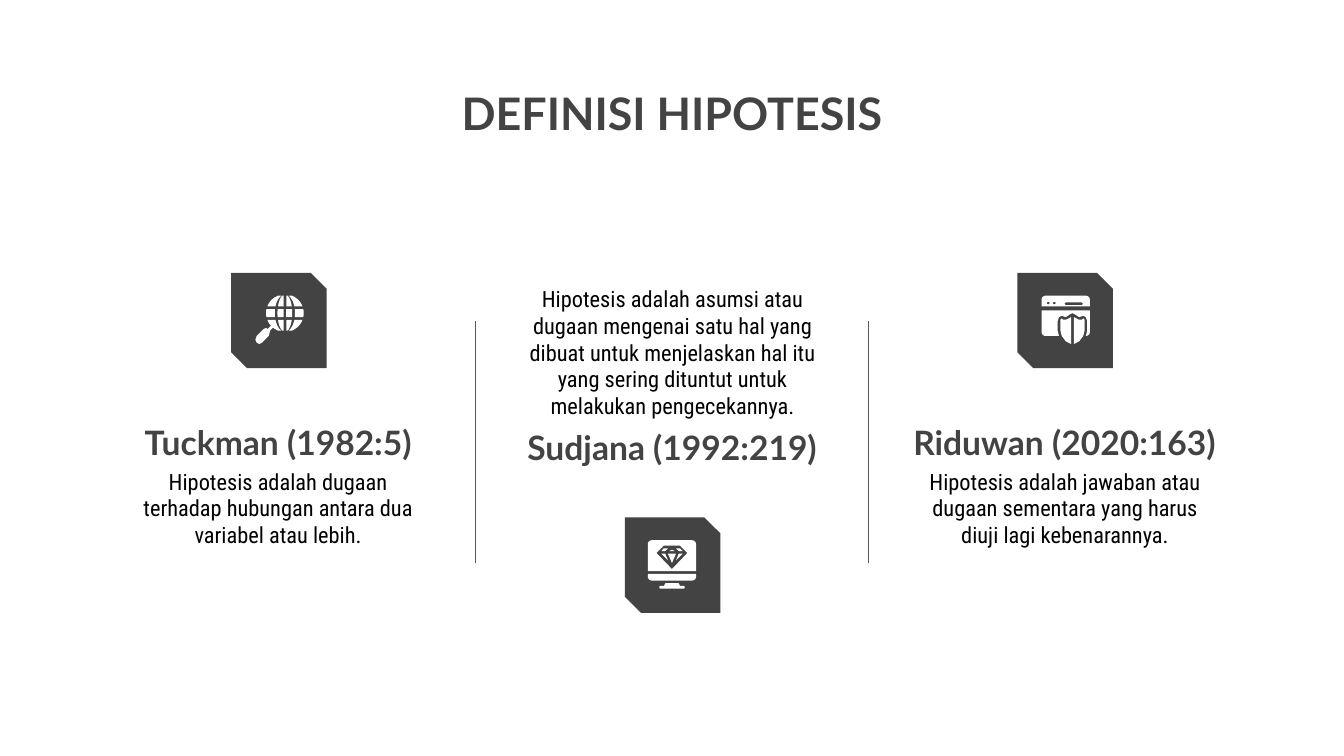
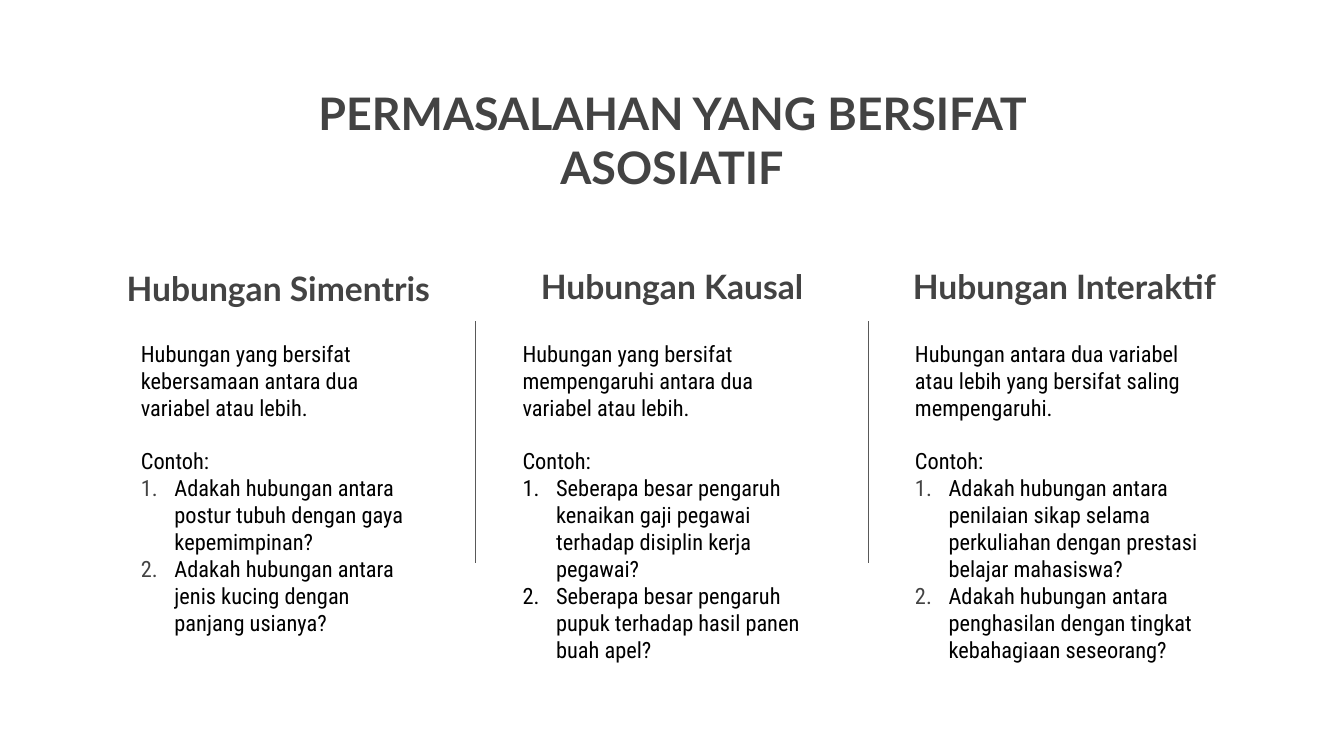
from dataclasses import dataclass
from math import cos, pi, sin, sqrt

from lxml import etree
from pptx import Presentation
from pptx.dml.color import RGBColor
from pptx.enum.shapes import MSO_CONNECTOR, MSO_SHAPE
from pptx.enum.text import MSO_ANCHOR, MSO_AUTO_SIZE, PP_ALIGN
from pptx.oxml.ns import qn
from pptx.shapes.group import GroupShape
from pptx.slide import Slide
from pptx.text.text import _Paragraph
from pptx.util import Emu, Pt

# Shared look: 100 px to the inch, 16:9 pages
PX = 9144
PAGE_WIDTH = 1000 * PX
PAGE_HEIGHT = PAGE_WIDTH * 9 // 16
DARK = RGBColor(0x43, 0x43, 0x43)
RULE = RGBColor(0x59, 0x59, 0x59)
BLACK = RGBColor(0, 0, 0)
WHITE = RGBColor(255, 255, 255)
HEAD_FONT, BODY_FONT = "Lato", "Roboto Condensed"
LEFT, CENTER = PP_ALIGN.LEFT, PP_ALIGN.CENTER
TOP, BOTTOM = MSO_ANCHOR.TOP, MSO_ANCHOR.BOTTOM
NO_FIT = MSO_AUTO_SIZE.NONE
STRAIGHT = MSO_CONNECTOR.STRAIGHT
SNIPPED = MSO_SHAPE.SNIP_2_DIAG_RECTANGLE

HEADING_LEFTS = (61, 354, 646)
HEADING_WIDTH, HEADING_HEIGHT = 292, 47
BODY_LEFTS, BODY_WIDTHS, BODY_HEIGHT = (95, 379, 671), (224, 243, 243), 110
RULE_XS, RULE_TOP, RULE_BOTTOM = (354, 646), 239, 419
BADGE_SIZE = 71
BODY_LINE = Pt(14.4)

Point = tuple[float, float]
Contour = list[Point]
Outline = list[Contour]


@dataclass(frozen=True)
class Definition:
    author: str
    text: str
    heading_top: int
    body_top: int
    badge_left: int
    badge_top: int
    icon: list[Outline]


@dataclass(frozen=True)
class Relation:
    heading: str
    heading_top: int
    text: str
    examples: tuple[str, ...]
    number_color: RGBColor


# Icon geometry, measured inside a badge
def arc(x: float, y: float, radius: float, start: float, sweep: float = 90) -> Contour:
    steps = max(4, round(sweep / 30))
    angles = [(start + sweep * step / steps) * pi / 180 for step in range(steps + 1)]
    return [(x + radius * cos(angle), y + radius * sin(angle)) for angle in angles]


def mirrored(contour: Contour, axis: float) -> Contour:
    return [(2 * axis - x, y) for x, y in contour]


def both_sides(contour: Contour, axis: float) -> list[Outline]:
    return [[contour], [mirrored(contour, axis)]]


def round_topped(left: float, top: float, right: float, bottom: float) -> Contour:
    return [(left, bottom), *arc(left + 3, top + 3, 3, 180),
            *arc(right - 3, top + 3, 3, 270), (right, bottom)]


def round_bottomed(left: float, top: float, right: float, bottom: float) -> Contour:
    return [(x, top + bottom - y) for x, y in round_topped(left, top, right, bottom)]


def globe_icon() -> list[Outline]:
    center_x, center_y, radius = 40, 30, 14

    def meridian(width: float, top: float, bottom: float) -> Contour:
        heights = [top + (bottom - top) * step / 6 for step in range(7)]
        return [(center_x - max(1, width * sqrt(1 - (y / radius) ** 2)), center_y + y)
                for y in heights]

    outlines: list[Outline] = []
    for top, bottom in ((-13, -5), (-3, 3), (5, 13)):
        for outer, inner in ((radius, 7.5), (5.5, 0)):
            piece = meridian(outer, top, bottom) + meridian(inner, top, bottom)[::-1]
            outlines += both_sides(piece, center_x)
    handle = [(28, 37), (30, 39), (27, 42), (26, 41), (24, 42), (19, 47), (18, 50),
              (19, 52), (21, 53), (23, 52), (28, 47), (29, 43), (31, 41), (33, 40)]
    return outlines + [[handle]]


def monitor_icon() -> list[Outline]:
    axis = 35
    gem = [(29, 21), (41, 21), (46.5, 26.5), (35, 38.5), (23.5, 26.5)]
    stand = [(30, 49), (29, 51), (26, 51), (25.5, 52), (26, 53),
             (44, 53), (44.5, 52), (44, 51), (41, 51), (40, 49)]
    return [
        [round_topped(17, 17, 53, 40), gem],
        [round_bottomed(17, 42, 53, 47)],
        [stand],
        [[(35, 24), (33, 25), (37, 25)]],
        [[(32, 27), (35, 34), (38, 27)]],
        *both_sides([(29, 23), (27, 25), (30, 25), (32, 23)], axis),
        *both_sides([(27, 27), (32, 32), (30, 27)], axis),
    ]


def shield_icon() -> list[Outline]:
    axis = 41
    dots = [arc(x, 22.5, 1, 0, 360) for x in (23, 27.5)]
    address_bar = [(36, 22), (48, 22), (49, 23), (48, 24), (36, 24), (35, 23)]
    notch = [(31, 47), (30, 43), (30, 36), (31, 33), (33, 32), (36, 33), (39, 31), (41, 30)]
    window = [(18, 28), (18, 44), *arc(21, 44, 3, 180, -90), *notch,
              *mirrored(notch, axis)[::-1], *arc(51, 44, 3, 90, -90), (54, 28)]
    half_shield = [(40, 33), (36, 35), (34, 35), (33, 34), (32, 35),
                   (32, 43), (33, 47), (36, 51), (40, 53)]
    return [[round_topped(18, 17, 54, 25), *dots, address_bar], [window],
            *both_sides(half_shield, axis)]


# Drawing functions
def paint(shape, color: RGBColor) -> None:
    shape.shadow.inherit = False
    shape.fill.solid()
    shape.fill.fore_color.rgb = color
    shape.line.fill.background()


def add_outline(group: GroupShape, left: int, top: int, outline: Outline) -> None:
    contours = [[(round((left + x) * PX), round((top + y) * PX)) for x, y in contour]
                for contour in outline]
    first, *holes = contours
    builder = group.shapes.build_freeform(*first[0])
    builder.add_line_segments(first[1:], close=True)
    for hole in holes:
        builder.move_to(*hole[0])
        builder.add_line_segments(hole[1:], close=True)
    paint(builder.convert_to_shape(), WHITE)


def add_badge(page: Slide, left: int, top: int, icon: list[Outline]) -> None:
    group = page.shapes.add_group_shape()
    badge = group.shapes.add_shape(SNIPPED, left * PX, top * PX,
                                   BADGE_SIZE * PX, BADGE_SIZE * PX)
    badge.adjustments[0], badge.adjustments[1] = 0, 0.167
    paint(badge, DARK)
    for outline in icon:
        add_outline(group, left, top, outline)


def add_text(page: Slide, paragraphs: list[str], left: int, top: int, width: int,
             height: int, *, size: int = 12, font: str = BODY_FONT,
             color: RGBColor = BLACK, bold: bool = False, align: PP_ALIGN = LEFT,
             anchor: MSO_ANCHOR = TOP) -> list[_Paragraph]:
    box = page.shapes.add_textbox(left * PX, top * PX, width * PX, height * PX)
    frame = box.text_frame
    frame.word_wrap, frame.auto_size = True, NO_FIT
    frame.vertical_anchor = anchor
    frame.margin_left = frame.margin_right = Emu(10 * PX)
    frame.margin_top = frame.margin_bottom = Emu(10 * PX)
    for index, text in enumerate(paragraphs):
        para = frame.add_paragraph() if index else frame.paragraphs[0]
        para.alignment = align
        span = para.add_run()
        span.text = text
        span.font.name, span.font.size = font, Pt(size)
        span.font.bold, span.font.color.rgb = bold, color
    return list(frame.paragraphs)


def number_paragraph(para: _Paragraph, color: RGBColor) -> None:
    properties = para._p.get_or_add_pPr()
    properties.set("marL", str(25 * PX))
    properties.set("indent", str(-25 * PX))
    tint = etree.SubElement(properties, qn("a:buClr"))
    etree.SubElement(tint, qn("a:srgbClr"), val=str(color))
    etree.SubElement(properties, qn("a:buFont"), typeface=BODY_FONT)
    etree.SubElement(properties, qn("a:buAutoNum"), type="arabicPeriod")


def add_heading(page: Slide, text: str, column: int, top: int) -> None:
    add_text(page, [text], HEADING_LEFTS[column], top, HEADING_WIDTH, HEADING_HEIGHT,
             size=18, font=HEAD_FONT, color=DARK, bold=True, align=CENTER, anchor=BOTTOM)


def add_body(page: Slide, paragraphs: list[str], column: int, top: int,
             align: PP_ALIGN = LEFT) -> list[_Paragraph]:
    return add_text(page, paragraphs, BODY_LEFTS[column], top, BODY_WIDTHS[column],
                    BODY_HEIGHT, align=align)


def add_page(deck, title: str) -> Slide:
    page = deck.slides.add_slide(deck.slide_layouts[6])
    add_text(page, [title], 215, 54, 570, 94, size=24, font=HEAD_FONT,
             color=DARK, bold=True, align=CENTER)
    for x in RULE_XS:
        rule = page.shapes.add_connector(STRAIGHT, x * PX, RULE_TOP * PX,
                                         x * PX, RULE_BOTTOM * PX)
        rule.line.color.rgb, rule.line.width = RULE, Pt(0.75)
        etree.SubElement(rule._element.spPr, qn("a:effectLst"))
    return page


# Content
DEFINITIONS = (
    Definition("Tuckman (1982:5)",
               "Hipotesis adalah dugaan terhadap hubungan antara dua variabel atau lebih.",
               307, 338, 172, 203, globe_icon()),
    Definition("Sudjana (1992:219)",
               "Hipotesis adalah asumsi atau dugaan mengenai satu hal yang dibuat untuk "
               "menjelaskan hal itu yang sering dituntut untuk melakukan pengecekannya.",
               311, 202, 465, 385, monitor_icon()),
    Definition("Riduwan (2020:163)",
               "Hipotesis adalah jawaban atau dugaan sementara yang harus diuji lagi "
               "kebenarannya.",
               307, 338, 757, 203, shield_icon()),
)
RELATIONS = (
    Relation("Hubungan Simentris", 192,
             "Hubungan yang bersifat kebersamaan antara dua variabel atau lebih.",
             ("Adakah hubungan antara postur tubuh dengan gaya kepemimpinan?",
              "Adakah hubungan antara jenis kucing dengan panjang usianya?"), DARK),
    Relation("Hubungan Kausal", 191,
             "Hubungan yang bersifat mempengaruhi antara dua variabel atau lebih.",
             ("Seberapa besar pengaruh kenaikan gaji pegawai terhadap disiplin kerja pegawai?",
              "Seberapa besar pengaruh pupuk terhadap hasil panen buah apel?"), BLACK),
    Relation("Hubungan Interaktif", 191,
             "Hubungan antara dua variabel atau lebih yang bersifat saling mempengaruhi.",
             ("Adakah hubungan antara penilaian sikap selama perkuliahan dengan prestasi "
              "belajar mahasiswa?",
              "Adakah hubungan antara penghasilan dengan tingkat kebahagiaan seseorang?"), DARK),
)


def build_definitions(deck) -> None:
    page = add_page(deck, "DEFINISI HIPOTESIS")
    for column, item in enumerate(DEFINITIONS):
        add_heading(page, item.author, column, item.heading_top)
        add_body(page, [item.text], column, item.body_top, CENTER)
        add_badge(page, item.badge_left, item.badge_top, item.icon)


def build_relations(deck) -> None:
    page = add_page(deck, "PERMASALAHAN YANG BERSIFAT ASOSIATIF")
    for column, item in enumerate(RELATIONS):
        add_heading(page, item.heading, column, item.heading_top)
        _, label, *examples = add_body(page, [item.text, "Contoh:", *item.examples],
                                       column, 243)
        label.space_before = BODY_LINE
        for para in examples:
            number_paragraph(para, item.number_color)


def main() -> None:
    deck = Presentation()
    deck.slide_width, deck.slide_height = Emu(PAGE_WIDTH), Emu(PAGE_HEIGHT)
    build_definitions(deck)
    build_relations(deck)
    deck.save("out.pptx")


if __name__ == "__main__":
    main()
